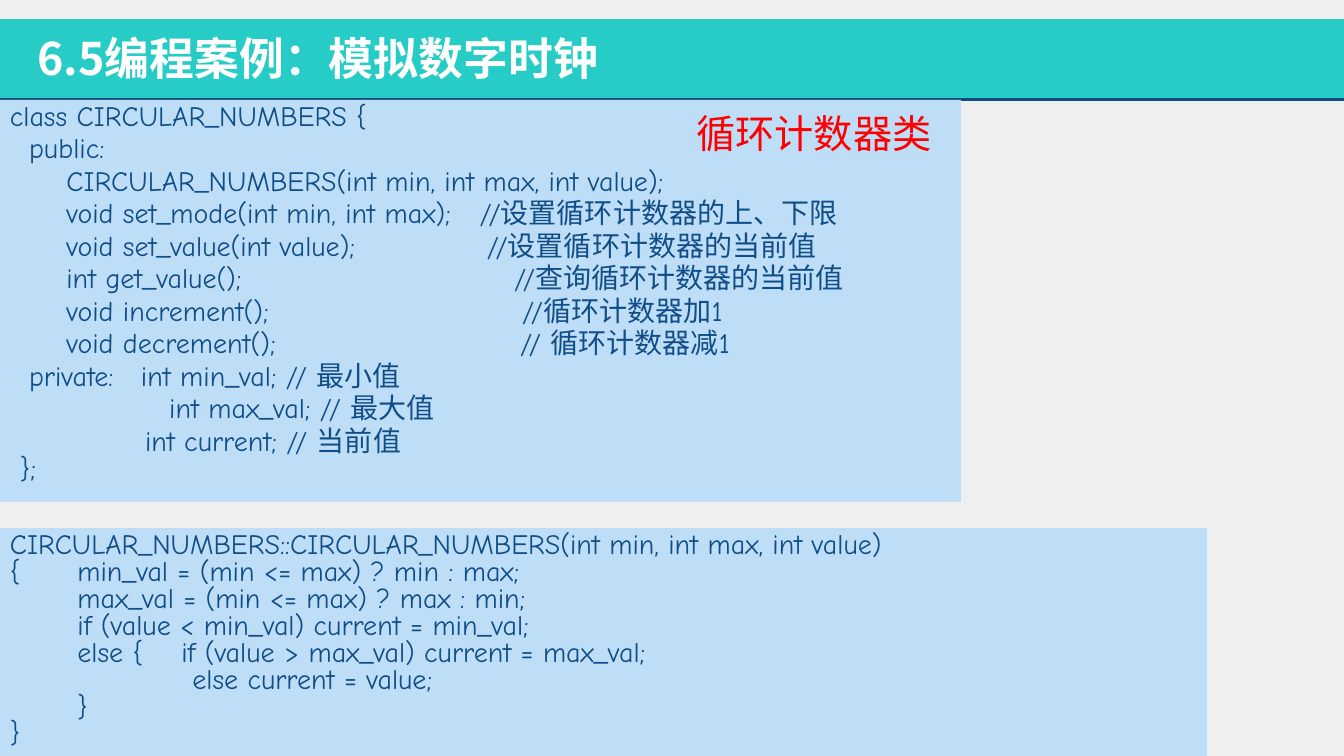
"""Build the slide on the circular counter class of the digital clock example."""
import pptx
import pptx.dml.color
import pptx.enum.shapes
import pptx.enum.text
import pptx.oxml
import pptx.oxml.ns
import pptx.util
from lxml import etree

Inches, Pt = pptx.util.Inches, pptx.util.Pt
RGBColor = pptx.dml.color.RGBColor
PP_ALIGN = pptx.enum.text.PP_ALIGN
qn = pptx.oxml.ns.qn

PAGE = RGBColor(0xEF, 0xEF, 0xEF)
TEAL = RGBColor(0x26, 0xCC, 0xC5)
NAVY = RGBColor(0x10, 0x4E, 0x87)
RULE = RGBColor(0x10, 0x4D, 0x7E)
PANEL = RGBColor(0xBE, 0xDD, 0xF7)
RED = RGBColor(0xFF, 0x00, 0x00)
WHITE = RGBColor(0xFF, 0xFF, 0xFF)
CODE_FONT, CJK_FONT = "Comic Neue", "Noto Sans CJK JP"

SLIDE_WIDTH, SLIDE_HEIGHT = 13.33, 7.5
RULE_TOP = 0.99
TITLE = "6.5编程案例：模拟数字时钟"
CAPTION = "循环计数器类"

# Each code line is a list of (inches from the text edge, text) pieces.
LABEL, MEMBER, BODY = 0.19, 0.56, 0.67
CLASS_CODE = [
    [(0, "class CIRCULAR_NUMBERS {")],
    [(LABEL, "public:")],
    [(MEMBER, "CIRCULAR_NUMBERS(int min, int max, int value);")],
    [(MEMBER, "void set_mode(int min, int max);"), (4.66, "//设置循环计数器的上、下限")],
    [(MEMBER, "void set_value(int value);"), (4.73, "//设置循环计数器的当前值")],
    [(MEMBER, "int get_value();"), (5.0, "//查询循环计数器的当前值")],
    [(MEMBER, "void increment();"), (5.08, "//循环计数器加1")],
    [(MEMBER, "void decrement();"), (5.06, "// 循环计数器减1")],
    [(LABEL, "private:"), (1.3, "int min_val; // 最小值")],
    [(1.58, "int max_val; // 最大值")],
    [(1.34, "int current; // 当前值")],
    [(0.1, "};")],
]
CONSTRUCTOR_CODE = [
    [(0, "CIRCULAR_NUMBERS::CIRCULAR_NUMBERS(int min, int max, int value)")],
    [(0, "{"), (BODY, "min_val = (min <= max) ? min : max;")],
    [(BODY, "max_val = (min <= max) ? max : min;")],
    [(BODY, "if (value < min_val) current = min_val;")],
    [(BODY, "else {"), (1.7, "if (value > max_val) current = max_val;")],
    [(1.81, "else current = value;")],
    [(BODY, "}")],
    [(0, "}")],
]


def write(shape, lines, *, size, font, color, bold=False, align=PP_ALIGN.LEFT,
          anchor=pptx.enum.text.MSO_ANCHOR.TOP, line_spacing=1.0, gap=0):
    """Fill a shape with lines of pieces, each piece set at its own tab stop."""
    frame = shape.text_frame
    frame.word_wrap = True
    frame.auto_size = pptx.enum.text.MSO_AUTO_SIZE.NONE
    frame.vertical_anchor = anchor
    for number, pieces in enumerate(lines):
        paragraph = frame.add_paragraph() if number else frame.paragraphs[0]
        paragraph.alignment = align
        paragraph.line_spacing = line_spacing
        paragraph.space_before = Pt(gap if 0 < number < len(lines) - 1 else 0)
        stops = [stop for stop, _ in pieces if stop]
        if stops:
            tabs = etree.SubElement(paragraph._p.get_or_add_pPr(), qn("a:tabLst"))
            for stop in stops:
                etree.SubElement(tabs, qn("a:tab"), pos=str(Inches(stop)), algn="l")
        run = paragraph.add_run()
        run.text = "".join(("\t" if stop else "") + text for stop, text in pieces)
        run.font.size, run.font.bold, run.font.name = Pt(size), bold, font
        run.font.color.rgb = color
        etree.SubElement(run._r.get_or_add_rPr(), qn("a:ea"), typeface=CJK_FONT)


def add_block(slide, left, top, width, height, color):
    """Add a plain filled rectangle."""
    block = slide.shapes.add_shape(
        pptx.enum.shapes.MSO_SHAPE.RECTANGLE,
        Inches(left), Inches(top), Inches(width), Inches(height))
    block.shadow.inherit = False
    block.fill.solid()
    block.fill.fore_color.rgb = color
    block.line.fill.background()
    return block


def main():
    """Assemble and save the slide."""
    deck = pptx.Presentation()
    deck.slide_width, deck.slide_height = Inches(SLIDE_WIDTH), Inches(SLIDE_HEIGHT)
    slide = deck.slides.add_slide(deck.slide_layouts[5])
    slide.background.fill.solid()
    slide.background.fill.fore_color.rgb = PAGE

    add_block(slide, 0, 0.19, SLIDE_WIDTH, 0.8, TEAL)
    rule = slide.shapes.add_connector(
        pptx.enum.shapes.MSO_CONNECTOR.STRAIGHT,
        0, Inches(RULE_TOP), Inches(SLIDE_WIDTH), Inches(RULE_TOP))
    rule.line.color.rgb, rule.line.width = RULE, Pt(2)
    etree.SubElement(rule._element.spPr, qn("a:effectLst"))

    code_format = dict(size=20, font=CODE_FONT, color=NAVY, line_spacing=0.8)
    class_panel = add_block(slide, 0, RULE_TOP, 9.53, 3.99, PANEL)
    write(class_panel, CLASS_CODE, gap=4, **code_format)
    constructor_panel = add_block(slide, 0, 5.24, 11.97, 2.26, PANEL)
    write(constructor_panel, CONSTRUCTOR_CODE, align=PP_ALIGN.JUSTIFY, **code_format)

    caption = slide.shapes.add_textbox(Inches(6.81), Inches(1.04), Inches(2.72), Inches(0.57))
    write(caption, [[(0, CAPTION)]], size=28, font=CJK_FONT, color=RED)

    title = slide.shapes.title
    title.left, title.top = Inches(0.27), Inches(0.25)
    title.width, title.height = Inches(8.78), Inches(0.64)
    write(title, [[(0, TITLE)]], size=32, font=CJK_FONT, color=WHITE, bold=True,
          anchor=pptx.enum.text.MSO_ANCHOR.MIDDLE)
    title.element.getparent().append(title.element)

    deck.save("out.pptx")


if __name__ == "__main__":
    main()
